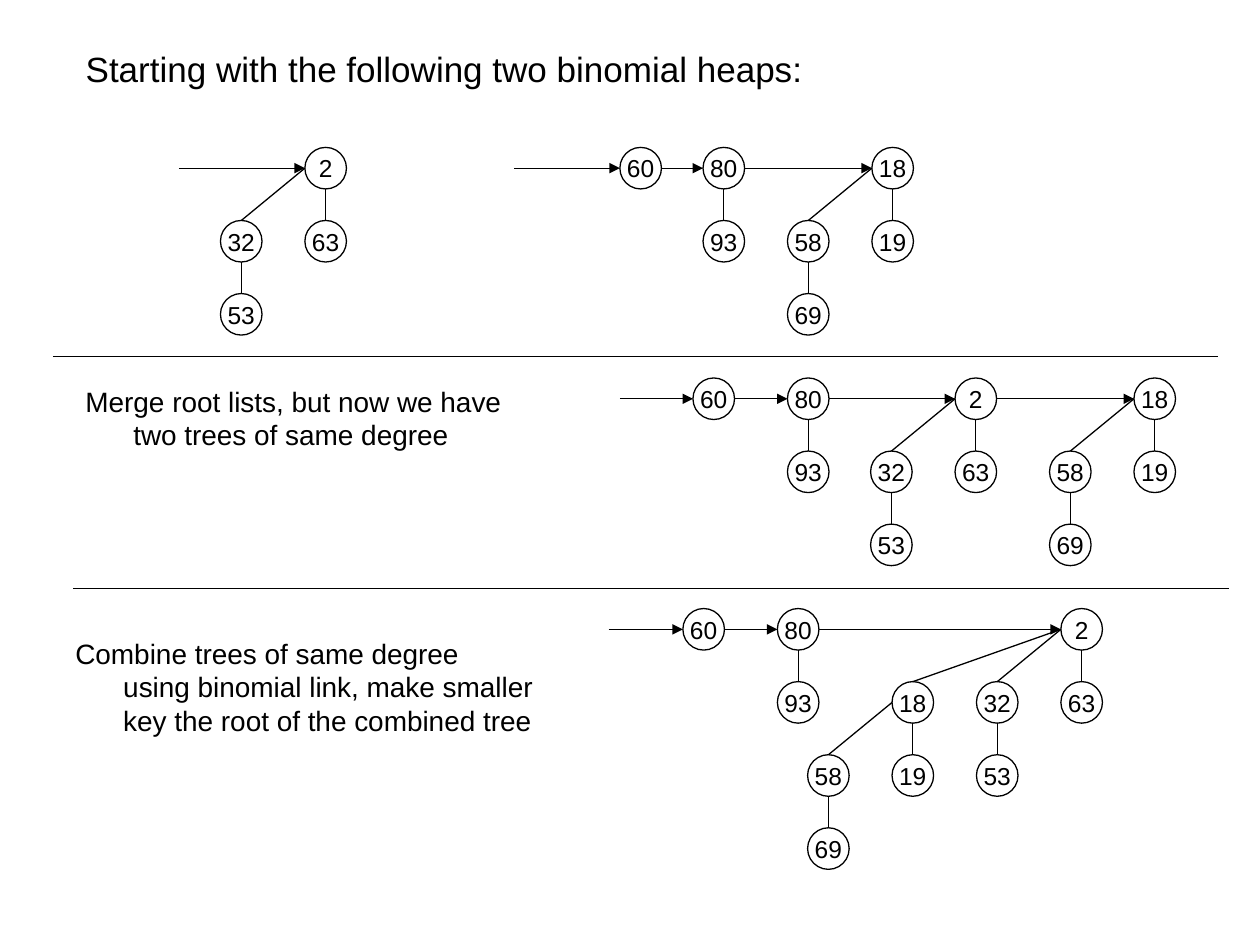
from lxml import etree
from pptx import Presentation
from pptx.dml.color import RGBColor
from pptx.enum.shapes import MSO_CONNECTOR, MSO_SHAPE
from pptx.enum.text import MSO_ANCHOR, MSO_AUTO_SIZE, PP_ALIGN
from pptx.oxml.ns import qn
from pptx.util import Inches, Pt

ELLIPSE = MSO_SHAPE.OVAL
STRAIGHT = MSO_CONNECTOR.STRAIGHT
TOP, MIDDLE = MSO_ANCHOR.TOP, MSO_ANCHOR.MIDDLE
LEFT, CENTER = PP_ALIGN.LEFT, PP_ALIGN.CENTER
NO_AUTOFIT = MSO_AUTO_SIZE.NONE

COLORS = {"ink": "000000"}
FONT = "Arial"
TITLE_SIZE, NOTE_SIZE, KEY_SIZE = 20, 16, 14
LINE_WIDTH = 0.75
TITLE_ONLY_LAYOUT = 5

# Tree geometry in inches
NODE = 0.33
COLUMN_STEP = 0.67
LEVEL_STEP = 0.58
HANGING_INDENT = 0.38

# Binomial trees as (key, children), the smallest child last
TREE_60 = (60, [])
TREE_80 = (80, [(93, [])])
TREE_2 = (2, [(32, [(53, [])]), (63, [])])
TREE_18 = (18, [(58, [(69, [])]), (19, [])])
COMBINED_TREE = (2, [TREE_18, *TREE_2[1]])

# Each heap: top, start of the root list, trees with the left of their root
HEAPS = [
    (1.17, 1.42, [(2.42, TREE_2)]),
    (1.17, 4.08, [(4.92, TREE_60), (5.58, TREE_80), (6.92, TREE_18)]),
    (3.0, 4.92, [(5.5, TREE_60), (6.25, TREE_80), (7.58, TREE_2), (9.0, TREE_18)]),
    (4.83, 4.83, [(5.42, TREE_60), (6.17, TREE_80), (8.42, COMBINED_TREE)]),
]

NOTES = [
    ((0.58, 3.0, 3.5, 0.75),
     "Merge root lists, but now we have two trees of same degree"),
    ((0.5, 5.0, 3.83, 1.08),
     "Combine trees of same degree using binomial link, "
     "make smaller key the root of the combined tree"),
]

DIVIDERS = [(0.42, 9.67, 2.83), (0.58, 9.75, 4.67)]


class HeapSlide:
    def __init__(self, slide):
        self.slide = slide
        self.ink = RGBColor.from_string(COLORS["ink"])

    def set_text(self, shape, text, size, alignment, anchor, wrap=True):
        frame = shape.text_frame
        frame.text = text
        frame.auto_size = NO_AUTOFIT
        frame.word_wrap = wrap
        frame.vertical_anchor = anchor
        paragraph = frame.paragraphs[0]
        paragraph.alignment = alignment
        font = paragraph.runs[0].font
        font.name, font.size = FONT, Pt(size)
        font.color.rgb = self.ink
        return paragraph

    def hang(self, paragraph):
        properties = paragraph._p.get_or_add_pPr()
        properties.set("marL", str(Inches(HANGING_INDENT)))
        properties.set("indent", str(-Inches(HANGING_INDENT)))

    def title(self, box, text):
        shape = self.slide.shapes.title
        shape.left, shape.top, shape.width, shape.height = map(Inches, box)
        self.hang(self.set_text(shape, text, TITLE_SIZE, LEFT, TOP))

    def note(self, box, text):
        shape = self.slide.shapes.add_textbox(*map(Inches, box))
        self.hang(self.set_text(shape, text, NOTE_SIZE, LEFT, TOP))

    def line(self, start, end, arrow=False):
        connector = self.slide.shapes.add_connector(
            STRAIGHT, *map(Inches, (*start, *end)))
        connector.line.color.rgb = self.ink
        connector.line.width = Pt(LINE_WIDTH)
        if arrow:
            outline = connector.line._get_or_add_ln()
            etree.SubElement(outline, qn("a:tailEnd"), type="triangle")
        etree.SubElement(connector._element.spPr, qn("a:effectLst"))

    def node(self, left, top, key):
        shape = self.slide.shapes.add_shape(
            ELLIPSE, *map(Inches, (left, top, NODE, NODE)))
        shape.shadow.inherit = False
        shape.fill.background()
        shape.line.color.rgb = self.ink
        shape.line.width = Pt(LINE_WIDTH)
        self.set_text(shape, str(key), KEY_SIZE, CENTER, MIDDLE, wrap=False)

    def tree(self, left, top, tree):
        key, children = tree
        self.node(left, top, key)
        child_top = top + LEVEL_STEP
        for steps, child in enumerate(reversed(children)):
            child_left = left - steps * COLUMN_STEP
            child_center = child_left + NODE / 2
            # The last child hangs straight down, the others off the left side
            if steps == 0:
                start = (child_center, top + NODE)
            else:
                start = (left, top + NODE / 2)
            self.line(start, (child_center, child_top))
            self.tree(child_left, child_top, child)

    def heap(self, top, start, trees):
        middle = top + NODE / 2
        for left, tree in trees:
            self.line((start, middle), (left, middle), arrow=True)
            self.tree(left, top, tree)
            start = left + NODE


def main():
    presentation = Presentation()
    presentation.slide_width, presentation.slide_height = Inches(10), Inches(7.5)
    layout = presentation.slide_layouts[TITLE_ONLY_LAYOUT]
    page = HeapSlide(presentation.slides.add_slide(layout))

    # Heading and explanations
    page.title((0.58, 0.33, 8.75, 0.67),
               "Starting with the following two binomial heaps:")
    for box, text in NOTES:
        page.note(box, text)

    # Heaps before, during and after the union
    for top, start, trees in HEAPS:
        page.heap(top, start, trees)

    # Dividers between the steps
    for left, right, top in DIVIDERS:
        page.line((left, top), (right, top))

    presentation.save("out.pptx")


if __name__ == "__main__":
    main()
